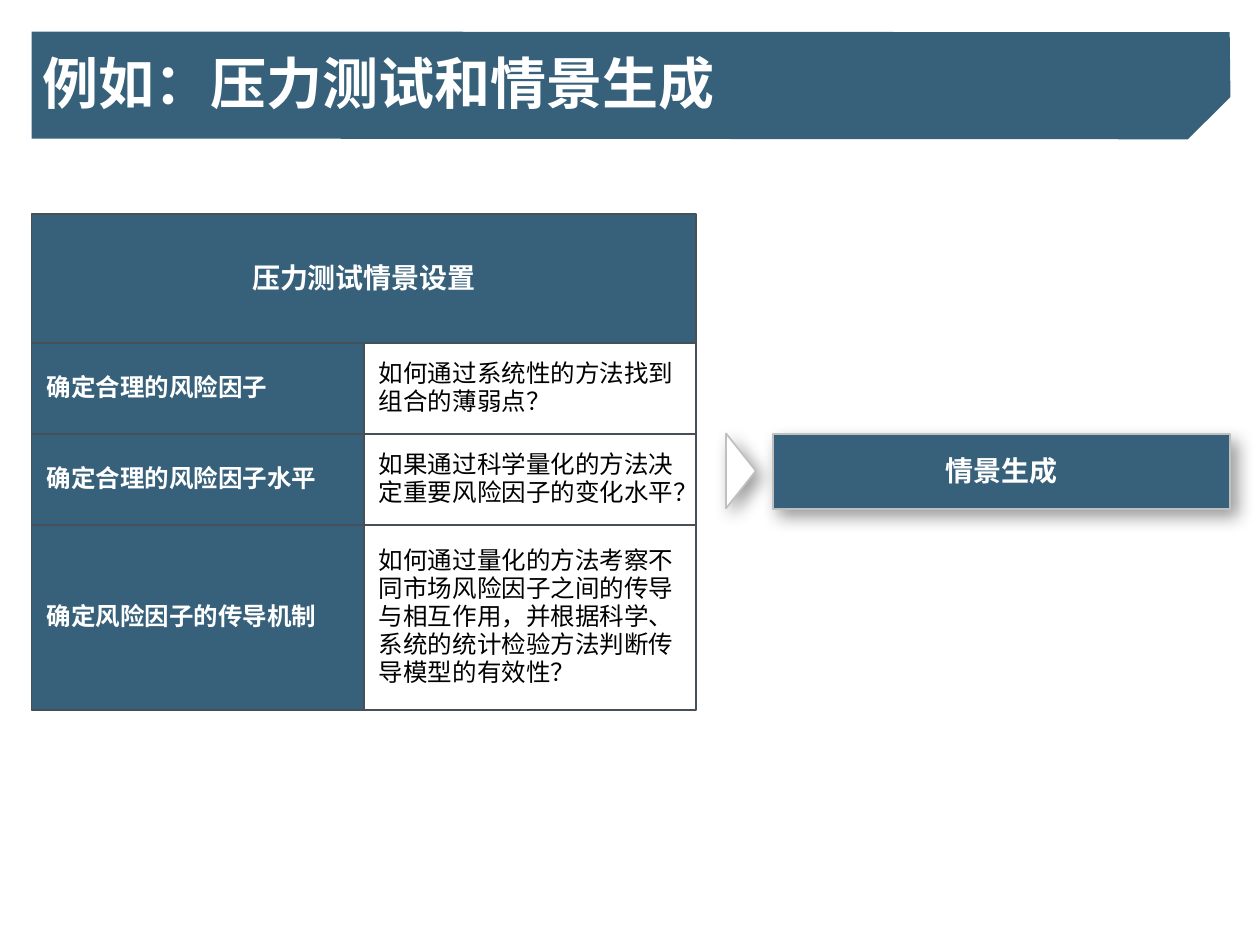
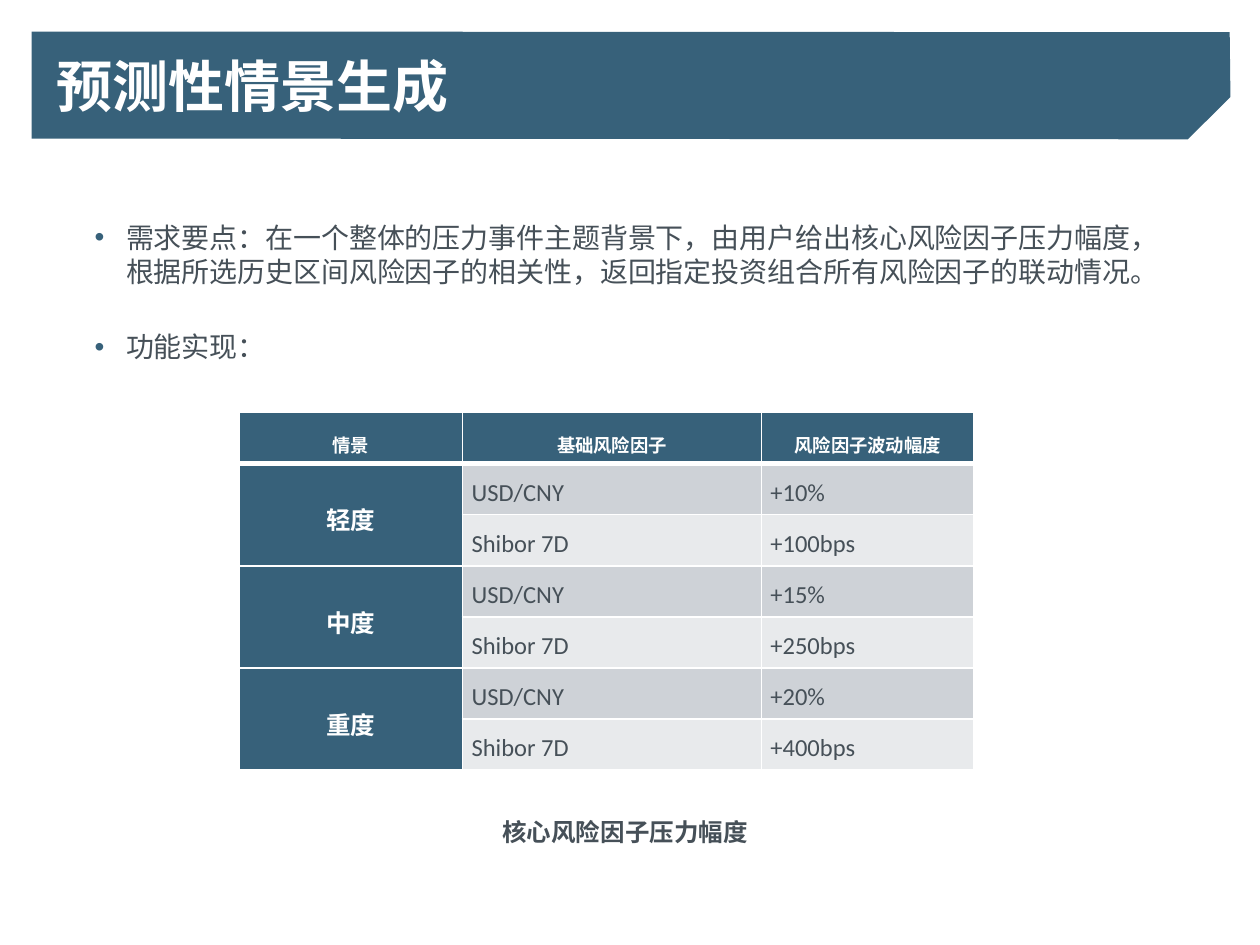
"""Build two slides on stress testing and scenario generation."""
from dataclasses import dataclass

from lxml import etree
from pptx import Presentation
from pptx import util as u
from pptx.dml.color import RGBColor
from pptx.enum import shapes, text
from pptx.oxml import ns


@dataclass(frozen=True)
class Theme:
    """Colours, fonts and type sizes shared by the slides."""
    blue: str = "37617A"
    slate: str = "465058"
    white: str = "FFFFFF"
    black: str = "000000"
    silver: str = "C0C0C0"
    stripes: tuple = ("CED2D7", "E8EAEC")
    cjk: str = "Noto Sans CJK SC"
    latin: str = "Calibri"
    title: float = 32
    heading: float = 16
    text: float = 14
    table_head: float = 10.5


THEME = Theme()
LEFT, ALIGN = 18, text.PP_ALIGN

SETTING_TITLE = "例如：压力测试和情景生成"
SETTING_HEADING = "压力测试情景设置"
SETTING_ROWS = [
    ("确定合理的风险因子", "如何通过系统性的方法找到组合的薄弱点？", 52),
    ("确定合理的风险因子水平", "如果通过科学量化的方法决定重要风险因子的变化水平？", 52),
    ("确定风险因子的传导机制",
     "如何通过量化的方法考察不同市场风险因子之间的传导与相互作用，"
     "并根据科学、系统的统计检验方法判断传导模型的有效性？", 105.6),
]
RESULT = "情景生成"

FORECAST_TITLE = "预测性情景生成"
FORECAST_POINTS = [
    "需求要点：在一个整体的压力事件主题背景下，由用户给出核心风险因子压力幅度，"
    "根据所选历史区间风险因子的相关性，返回指定投资组合所有风险因子的联动情况。",
    "功能实现：",
]
TABLE_HEAD = ("情景", "基础风险因子", "风险因子波动幅度")
FACTORS = ("USD/CNY", "Shibor 7D")
SCENARIOS = [
    ("轻度", ("+10%", "+100bps")),
    ("中度", ("+15%", "+250bps")),
    ("重度", ("+20%", "+400bps")),
]
TABLE_CAPTION = "核心风险因子压力幅度"
COLUMN_WIDTHS = (127.5, 170.8, 121.5)
ROW_HEIGHT = 29.2

BAND = [(18, 18), (702.7, 18.4), (703.1, 55.4), (678.8, 79.6), (18, 79.2)]


def points(*values):
    """Convert numbers to point lengths."""
    return [u.Pt(value) for value in values]


def add_xml(parent, tag, **attributes):
    """Append a DrawingML element and return it."""
    return etree.SubElement(parent, ns.qn(tag), attributes)


def paint(item, color):
    """Give a shape or cell a solid fill."""
    item.fill.solid()
    item.fill.fore_color.rgb = RGBColor.from_string(color)


def style(paragraph, size, color, bold=False, align=ALIGN.LEFT, spacing=None,
          before=0, after=0, font=THEME.cjk):
    """Format a whole paragraph."""
    paragraph.alignment = align
    paragraph.line_spacing = spacing
    paragraph.space_before, paragraph.space_after = points(before, after)
    paragraph.font.size = u.Pt(size)
    paragraph.font.bold = bold
    paragraph.font.name = font
    paragraph.font.color.rgb = RGBColor.from_string(color)
    if font == THEME.cjk:
        add_xml(paragraph.font._element, "a:ea", typeface=font)


def set_margins(item, left, top, right, bottom):
    """Set the inner margins of a text frame or cell."""
    item.margin_left, item.margin_top, item.margin_right, item.margin_bottom = points(
        left, top, right, bottom)


def place(shape, left, top, width, height):
    """Move and size a shape."""
    shape.left, shape.top, shape.width, shape.height = points(left, top, width, height)


def add_box(slide, bounds, fill, line, kind=shapes.MSO_SHAPE.RECTANGLE):
    """Add an outlined preset shape without a shadow."""
    shape = slide.shapes.add_shape(kind, *points(*bounds))
    shape.shadow.inherit = False
    paint(shape, fill)
    shape.line.color.rgb = RGBColor.from_string(line)
    shape.line.width = u.Pt(1)
    return shape


def write_box(shape, words, size, color, bold=False, align=ALIGN.LEFT, inset=5.8):
    """Write one vertically centred paragraph in a shape."""
    frame = shape.text_frame
    frame.word_wrap = True
    frame.vertical_anchor = text.MSO_ANCHOR.MIDDLE
    set_margins(frame, 8.6, inset, 8.6, inset)
    frame.text = words
    style(frame.paragraphs[0], size, color, bold, align, 0.95, after=6)


def cast_shadow(shape):
    """Give a shape a soft shadow to its lower right."""
    effects = shape.element.spPr.find(ns.qn("a:effectLst"))
    shadow = add_xml(effects, "a:outerShdw", blurRad=str(u.Pt(10)), dist=str(u.Pt(5)),
                     dir="2700000", algn="tl", rotWithShape="0")
    color = add_xml(shadow, "a:srgbClr", val=THEME.black)
    add_xml(color, "a:alpha", val="40000")


def add_band(slide):
    """Draw the title band behind everything else."""
    builder = slide.shapes.build_freeform(*points(*BAND[0]))
    builder.add_line_segments([points(*corner) for corner in BAND[1:]], close=True)
    band = builder.convert_to_shape()
    band.shadow.inherit = False
    paint(band, THEME.blue)
    band.line.fill.background()
    slide.shapes.element.insert(2, band.element)


def write_title(slide, words, margins, spacing=None):
    """Fill the title placeholder over its band."""
    add_band(slide)
    title = slide.shapes.title
    place(title, LEFT, 18, 684.7, 61.2)
    frame = title.text_frame
    frame.text = words
    frame.auto_size = text.MSO_AUTO_SIZE.NONE
    frame.vertical_anchor = text.MSO_ANCHOR.MIDDLE
    set_margins(frame, *margins)
    style(frame.paragraphs[0], THEME.title, THEME.white, True, spacing=spacing)


def build_setting_slide(slide):
    """Lay out the questions grid and its result."""
    write_title(slide, SETTING_TITLE, (6.1, 2.9, 6.1, 2.9), 0.95)
    top, column, head_height = 122.4, 189.9, 73.6
    heading = add_box(slide, (LEFT, top, 2 * column, head_height), THEME.blue, THEME.slate)
    write_box(heading, SETTING_HEADING, THEME.heading, THEME.white, True, ALIGN.CENTER)
    top += head_height
    for step, question, height in SETTING_ROWS:
        label = add_box(slide, (LEFT, top, column, height), THEME.blue, THEME.slate)
        write_box(label, step, THEME.text, THEME.white, True)
        answer = add_box(slide, (LEFT + column, top, column, height), THEME.white, THEME.slate)
        write_box(answer, question, THEME.text, THEME.black)
        top += height
    pointer = add_box(slide, (402, 260.6, 42.8, 17), THEME.white, THEME.silver,
                      shapes.MSO_SHAPE.ISOSCELES_TRIANGLE)
    pointer.rotation = 90
    result = add_box(slide, (441.8, 248.2, 261, 42.5), THEME.blue, THEME.silver)
    write_box(result, RESULT, THEME.heading, THEME.white, True, ALIGN.CENTER, inset=0)
    for shape in (pointer, result):
        cast_shadow(shape)


def write_points(body):
    """Fill the body placeholder with the bulleted points."""
    place(body, 46.8, 122.4, 630, 342)
    frame = body.text_frame
    frame.text = "\n".join(FORECAST_POINTS)
    frame.auto_size = text.MSO_AUTO_SIZE.NONE
    for index, paragraph in enumerate(frame.paragraphs):
        properties = paragraph._p.get_or_add_pPr()
        properties.set("marL", str(u.Pt(18)))
        properties.set("indent", str(-u.Pt(18)))
        add_xml(add_xml(properties, "a:buClr"), "a:srgbClr", val=THEME.blue)
        add_xml(properties, "a:buFont", typeface="Arial")
        add_xml(properties, "a:buChar", char="•")
        style(paragraph, THEME.heading, THEME.slate, before=18 if index else 0, after=6)


def write_cell(cell, words, fill, size, color, bold, align, spacing):
    """Fill and write one table cell."""
    paint(cell, fill)
    set_margins(cell, 5.2, 0, 5.2, 0)
    cell.vertical_anchor = text.MSO_ANCHOR.MIDDLE
    cell.text = words
    style(cell.text_frame.paragraphs[0], size, color, bold, align, spacing, font=THEME.latin)


def rule_below(cell):
    """Draw a thick white rule under a header cell."""
    properties = cell._tc.get_or_add_tcPr()
    rule = add_xml(properties, "a:lnB", w=str(u.Pt(3)))
    add_xml(add_xml(rule, "a:solidFill"), "a:srgbClr", val=THEME.white)
    properties.insert(0, rule)


def add_scenario_table(slide):
    """Add the table of factor moves by scenario."""
    row_count = 1 + len(SCENARIOS) * len(FACTORS)
    table = slide.shapes.add_table(
        row_count, len(TABLE_HEAD),
        *points(136.8, 235.7, sum(COLUMN_WIDTHS), ROW_HEIGHT * row_count)).table
    for column, width in zip(table.columns, COLUMN_WIDTHS):
        column.width = u.Pt(width)
    for row in table.rows:
        row.height = u.Pt(ROW_HEIGHT)
    for index, words in enumerate(TABLE_HEAD):
        write_cell(table.cell(0, index), words, THEME.blue, THEME.table_head,
                   THEME.white, True, ALIGN.CENTER, 1.5)
        rule_below(table.cell(0, index))
    for group, (scenario, moves) in enumerate(SCENARIOS):
        first = 1 + group * len(FACTORS)
        label = table.cell(first, 0)
        label.merge(table.cell(first + len(FACTORS) - 1, 0))
        write_cell(label, scenario, THEME.blue, THEME.text, THEME.white, True,
                   ALIGN.CENTER, 1.25)
        for offset, pair in enumerate(zip(FACTORS, moves)):
            for index, words in enumerate(pair, start=1):
                write_cell(table.cell(first + offset, index), words, THEME.stripes[offset],
                           THEME.text, THEME.slate, False, ALIGN.JUSTIFY, 1.25)


def build_forecast_slide(slide):
    """Lay out the points, the scenario table and its caption."""
    write_points(slide.placeholders[1])
    write_title(slide, FORECAST_TITLE, (14.4, 3.6, 7.2, 3.6))
    add_scenario_table(slide)
    caption = slide.shapes.add_textbox(*points(280, 461.8, 156.2, 26.6))
    frame = caption.text_frame
    frame.word_wrap = False
    frame.vertical_anchor = text.MSO_ANCHOR.MIDDLE
    frame.text = TABLE_CAPTION
    style(frame.paragraphs[0], THEME.text, THEME.slate, True)


def main():
    """Build and save the presentation."""
    presentation = Presentation()
    presentation.slide_width, presentation.slide_height = points(720, 540)
    layouts = presentation.slide_layouts
    slides = presentation.slides
    build_setting_slide(slides.add_slide(layouts.get_by_name("Title Only")))
    build_forecast_slide(slides.add_slide(layouts.get_by_name("Title and Content")))
    presentation.save("out.pptx")


if __name__ == "__main__":
    main()
